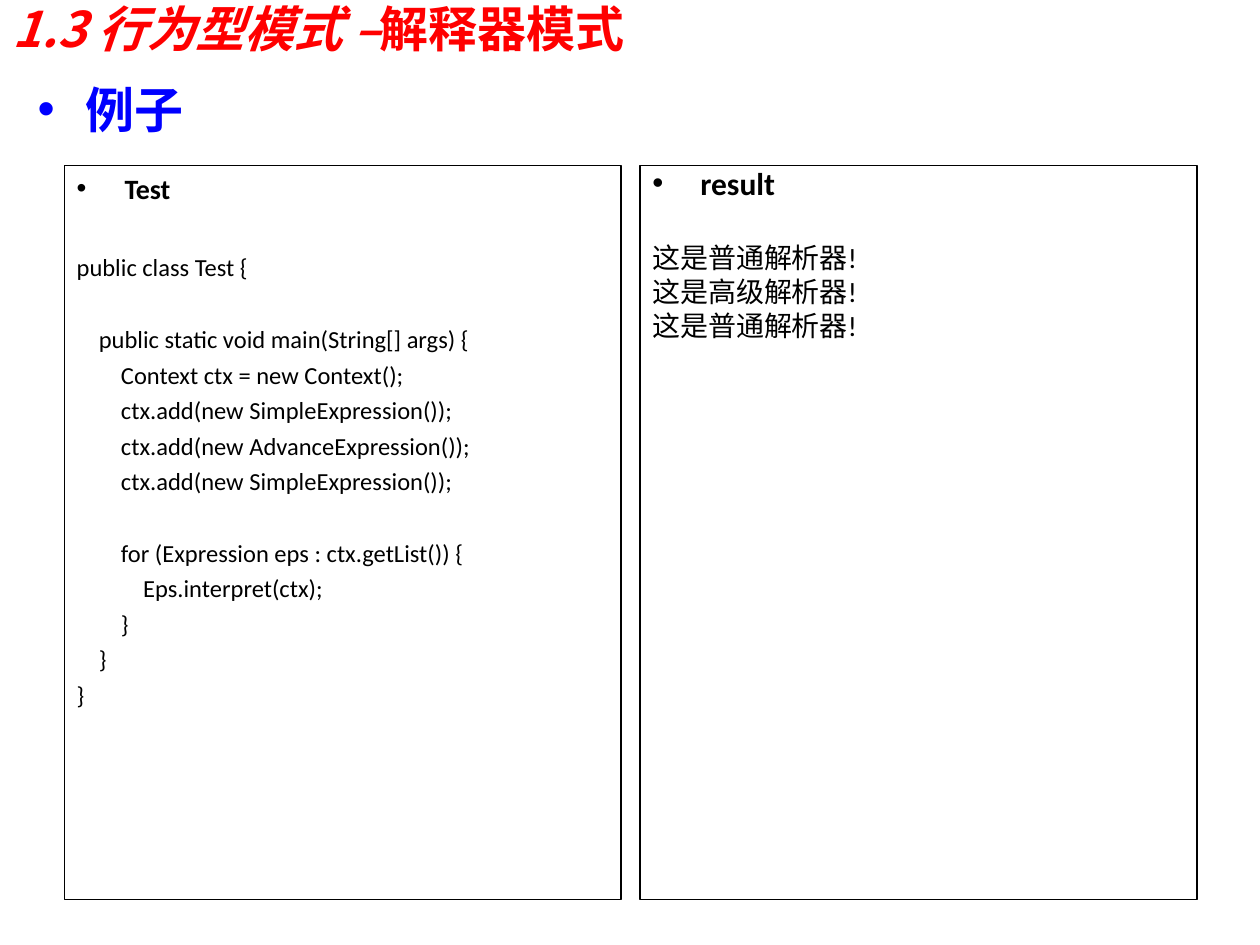
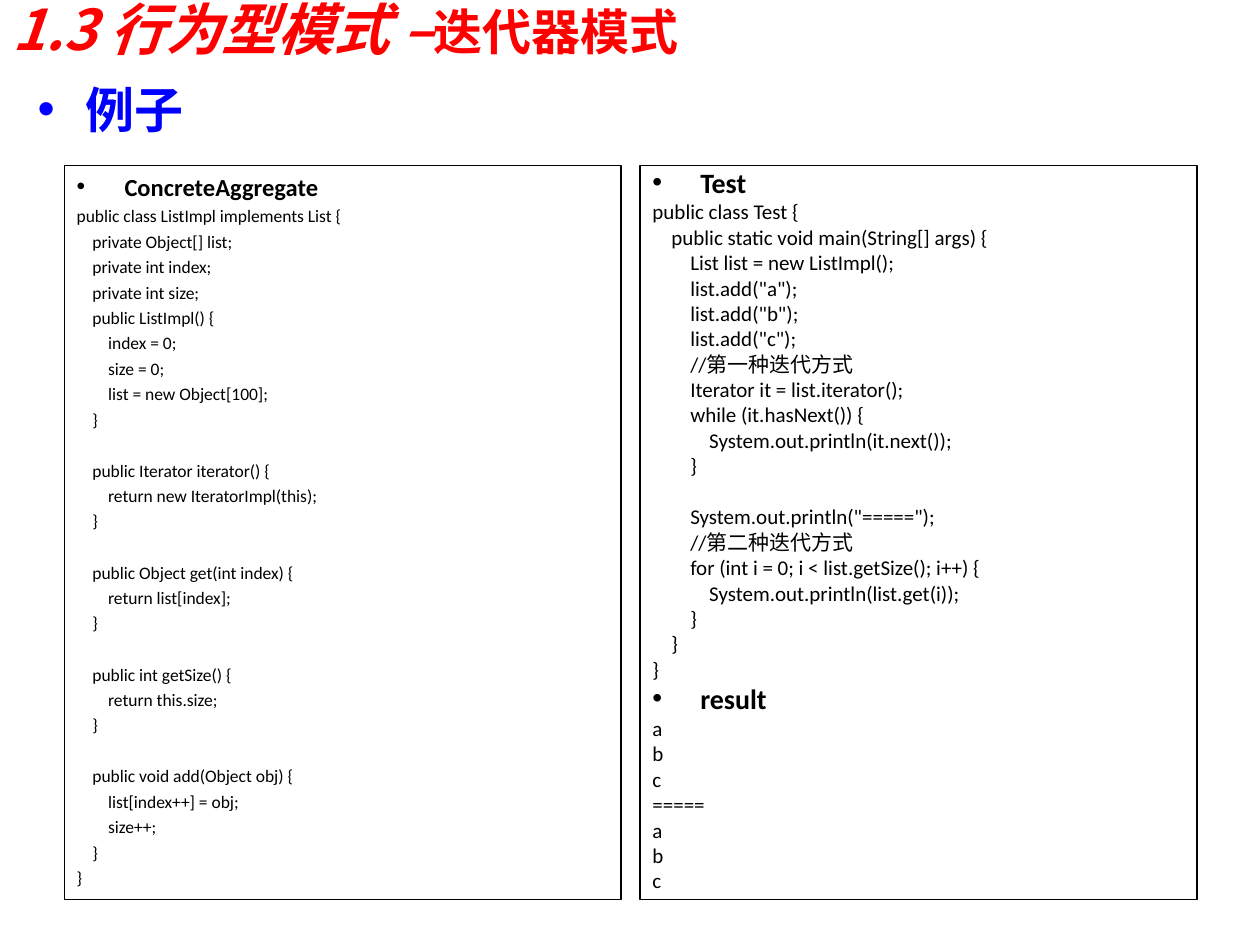
import dataclasses

import lxml.etree
import pptx
import pptx.dml.color
import pptx.enum.shapes
import pptx.enum.text
import pptx.oxml.ns
import pptx.util

WIDE, HIGH = 10, 7.5
RED, BLUE, BLACK = "FF0000", "0000FF", "000000"
SANS, HAN = "Calibri", "Noto Sans CJK SC"
HANG = 0.38
LINE = 1.22
TIGHT = 0.8


@dataclasses.dataclass
class Area:
    left: float
    top: float
    width: float
    height: float

    def place(self) -> tuple:
        return tuple(
            pptx.util.Inches(share * side)
            for share, side in zip(
                (self.left, self.top, self.width, self.height),
                (WIDE, HIGH, WIDE, HIGH),
            )
        )


@dataclasses.dataclass
class Block:
    head: str
    big: int
    code: str
    small: int


@dataclasses.dataclass
class Panel:
    blocks: list[Block]
    pitch: float


@dataclasses.dataclass
class Page:
    topic: str
    size: int
    panels: list[Panel]


TITLE = Area(0, 0, 0.9, 0.06)
LABEL = Area(0.02, 0.09, 0.35, 0.14)
FIRST = Area(0.051, 0.175, 0.442, 0.777)
STEP = 0.457

MAIN = """
public class Test {

    public static void main(String[] args) {
        Context ctx = new Context();
        ctx.add(new SimpleExpression());
        ctx.add(new AdvanceExpression());
        ctx.add(new SimpleExpression());

        for (Expression eps : ctx.getList()) {
            Eps.interpret(ctx);
        }
    }
}"""

PARSED = """
这是普通解析器!
这是高级解析器!
这是普通解析器!"""

LIST = """public class ListImpl implements List {
    private Object[] list;
    private int index;
    private int size;
    public ListImpl() {
        index = 0;
        size = 0;
        list = new Object[100];
    }

    public Iterator iterator() {
        return new IteratorImpl(this);
    }

    public Object get(int index) {
        return list[index];
    }

    public int getSize() {
        return this.size;
    }

    public void add(Object obj) {
        list[index++] = obj;
        size++;
    }
}"""

LOOPS = """public class Test {
    public static void main(String[] args) {
        List list = new ListImpl();
        list.add("a");
        list.add("b");
        list.add("c");
        //第一种迭代方式
        Iterator it = list.iterator();
        while (it.hasNext()) {
            System.out.println(it.next());
        }

        System.out.println("=====");
        //第二种迭代方式
        for (int i = 0; i < list.getSize(); i++) {
            System.out.println(list.get(i));
        }
    }
}"""

PRINTED = """a
b
c
=====
a
b
c"""

PAGES = [
    Page("解释器模式", 28, [
        Panel([Block("Test", 16, MAIN, 14)], 1),
        Panel([Block("result", 18, PARSED, 16)], TIGHT),
    ]),
    Page("迭代器模式", 32, [
        Panel([Block("ConcreteAggregate", 14, LIST, 10)], 1),
        Panel([Block("Test", 16, LOOPS, 12), Block("result", 16, PRINTED, 12)], TIGHT),
    ]),
]


def color(code: str) -> pptx.dml.color.RGBColor:
    return pptx.dml.color.RGBColor.from_string(code)


def style(font, size: float, tint: str, bold: bool, face: str = SANS) -> None:
    font.size = pptx.util.Pt(size)
    font.name = face
    font.bold = bold
    font.color.rgb = color(tint)


def indent(para, tint: str, bullet: bool) -> None:
    props = para._p.get_or_add_pPr()
    hang = pptx.util.Inches(HANG)
    props.set("marL", str(hang))
    props.set("indent", str(-hang))
    qn = pptx.oxml.ns.qn
    if not bullet:
        lxml.etree.SubElement(props, qn("a:buNone"))
        return
    hue = lxml.etree.SubElement(props, qn("a:buClr"))
    lxml.etree.SubElement(hue, qn("a:srgbClr"), val=tint)
    lxml.etree.SubElement(props, qn("a:buFont"), typeface="Arial")
    lxml.etree.SubElement(props, qn("a:buChar"), char="•")


def write(frame, text: str, size: int, pitch: float, tint: str = BLACK,
          head: bool = False, gap: float = 0) -> None:
    fresh = not frame.text
    para = frame.paragraphs[0] if fresh else frame.add_paragraph()
    para.text = text
    para.alignment = pptx.enum.text.PP_ALIGN.LEFT
    para.line_spacing = pitch
    para.space_before = pptx.util.Pt(0 if fresh else round(size / 4 + gap, 1))
    indent(para, tint, head)
    style(para.font, size, tint, head)


def fill(frame, block: Block, pitch: float) -> None:
    write(frame, block.head, block.big, pitch, head=True)
    last, gap = block.big, 0.0
    for line in block.code.splitlines():
        if not line:
            gap = last * (LINE * pitch + 0.25)
            continue
        write(frame, line, block.small, pitch, gap=gap)
        last, gap = block.small, 0.0


def title(slide, page: Page) -> None:
    shape = slide.shapes.title
    shape.left, shape.top, shape.width, shape.height = TITLE.place()
    frame = shape.text_frame
    frame.auto_size = pptx.enum.text.MSO_AUTO_SIZE.NONE
    frame.vertical_anchor = pptx.enum.text.MSO_ANCHOR.MIDDLE
    para = frame.paragraphs[0]
    para.alignment = pptx.enum.text.PP_ALIGN.LEFT
    parts = [("1.3 行为型模式 –", page.size, HAN, True), (page.topic, 28, SANS, False)]
    for text, size, face, slant in parts:
        run = para.add_run()
        run.text = text
        style(run.font, size, RED, True, face)
        run.font.italic = slant


def label(slide) -> None:
    frame = slide.shapes.add_textbox(*LABEL.place()).text_frame
    frame.word_wrap = True
    write(frame, "例子", 28, TIGHT, BLUE, head=True)


def draw(slide, panel: Panel, col: int) -> None:
    area = dataclasses.replace(FIRST, left=FIRST.left + col * STEP)
    kind = pptx.enum.shapes.MSO_SHAPE.RECTANGLE
    box = slide.shapes.add_shape(kind, *area.place())
    box.shadow.inherit = False
    box.fill.background()
    box.line.color.rgb = color(BLACK)
    box.line.width = pptx.util.Pt(0.75)
    frame = box.text_frame
    frame.word_wrap = True
    frame.vertical_anchor = pptx.enum.text.MSO_ANCHOR.TOP
    for block in panel.blocks:
        fill(frame, block, panel.pitch)


def main() -> None:
    deck = pptx.Presentation()
    deck.slide_width = pptx.util.Inches(WIDE)
    deck.slide_height = pptx.util.Inches(HIGH)
    plain = deck.slide_layouts.get_by_name("Title Only")
    for page in PAGES:
        slide = deck.slides.add_slide(plain)
        title(slide, page)
        label(slide)
        for col, panel in enumerate(page.panels):
            draw(slide, panel, col)
    deck.save("out.pptx")


if __name__ == "__main__":
    main()
